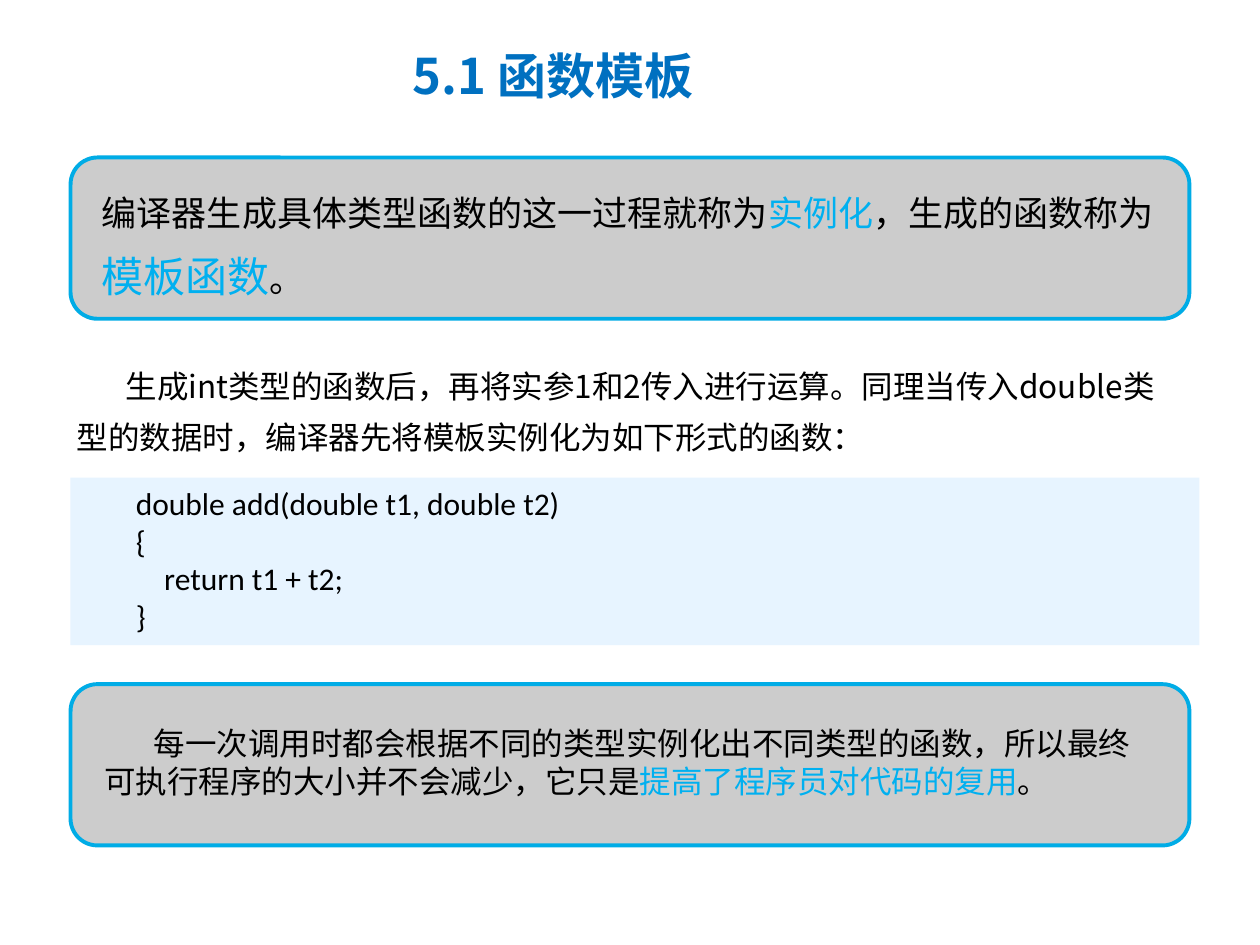
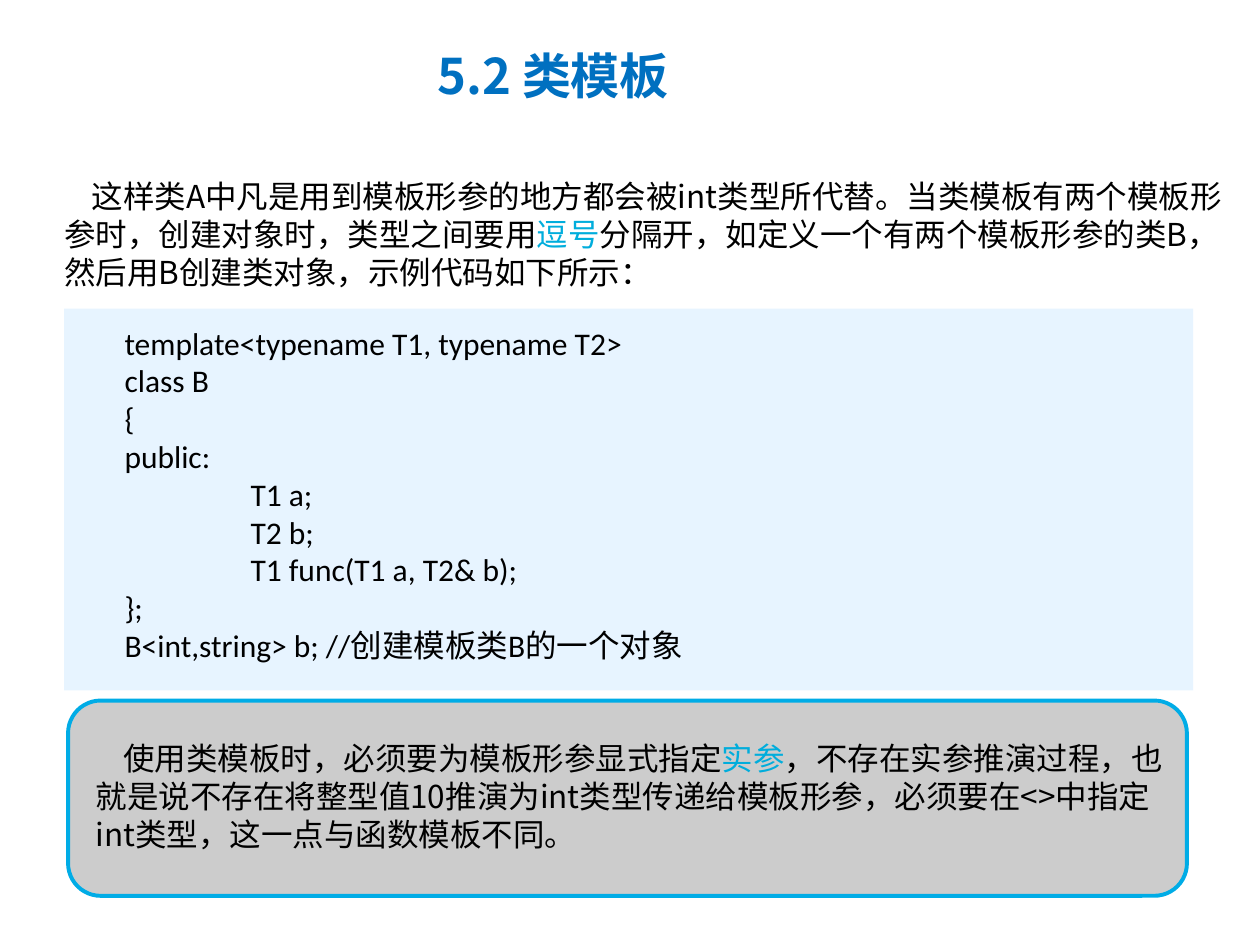
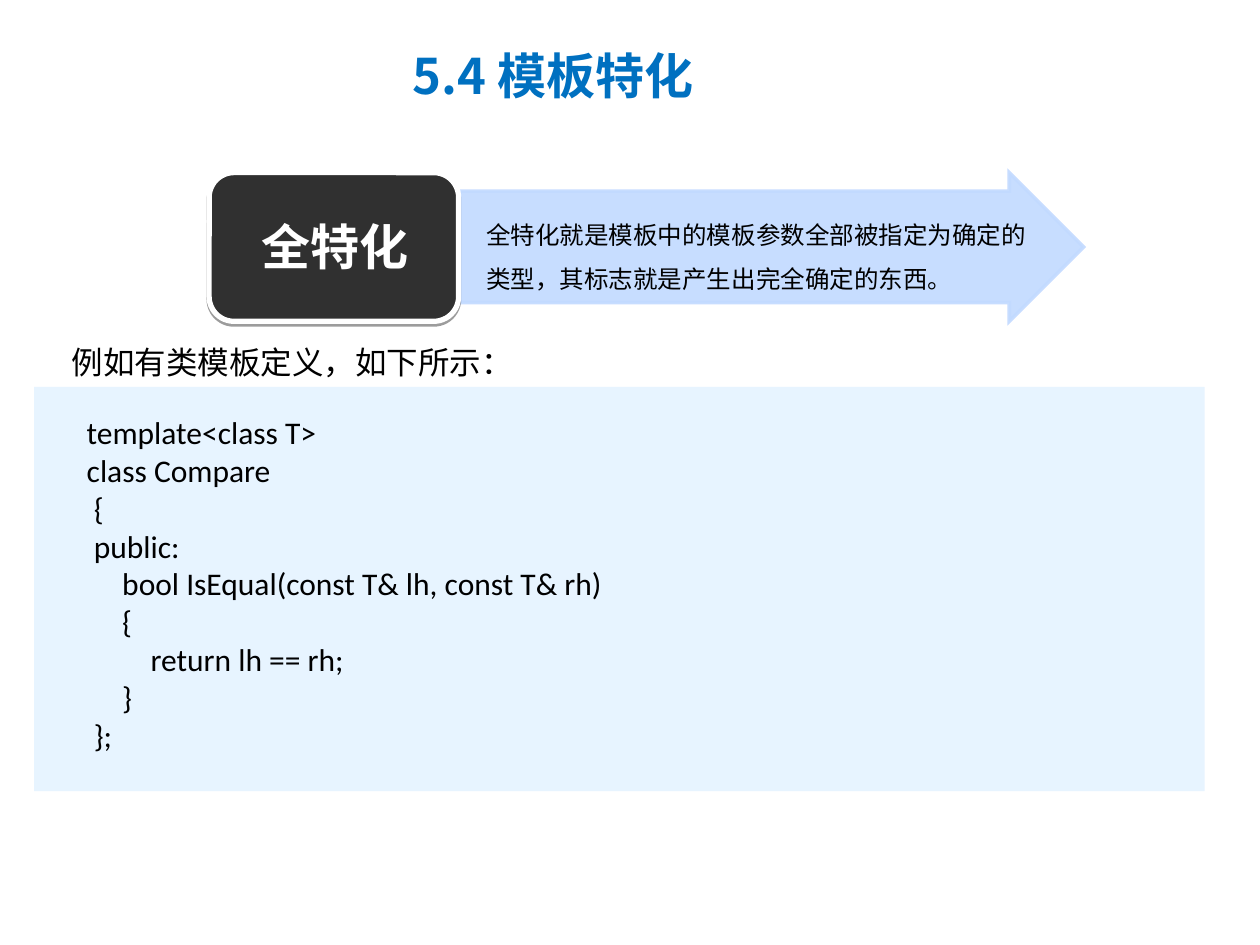
from lxml.etree import SubElement
from pptx import Presentation
from pptx.dml.color import RGBColor
from pptx.enum.shapes import MSO_SHAPE
from pptx.enum.text import MSO_ANCHOR, MSO_AUTO_SIZE, PP_ALIGN
from pptx.oxml.ns import qn
from pptx.util import Inches, Pt

COLORS = {
    "title": "0070C0", "text": "000000", "white": "FFFFFF",
    "accent": "00B0F0", "accent_dark": "00ADDC",
    "callout": "CCCCCC", "border": "00ACE6", "code": "E7F4FF",
    "arrow": "C2DAFF", "badge": "303030",
}
CJK = "Noto Sans CJK SC"
LATIN = "Calibri"
TITLE = {"size": Pt(28), "bold": True}
BODY = {"size": Pt(18), "bold": False}
LEAD = {"size": Pt(20), "bold": False}
LEAD_TERM = {"size": Pt(24), "bold": False}
NOTE = {"size": Pt(14), "bold": False}


def rgb(name):
    return RGBColor.from_string(COLORS[name])


def add_run(p, text, color="text", fmt=BODY, face=CJK):
    r = p.add_run()
    r.text = text
    for name, value in {**fmt, "name": face}.items():
        setattr(r.font, name, value)
    r.font.color.rgb = rgb(color)
    if face == CJK:
        SubElement(r.font._element, qn("a:ea"), typeface=face)


def add_text(slide, box, paragraphs, wrap=True, **para):
    """Each paragraph is a list of add_run argument tuples."""
    tf = slide.shapes.add_textbox(*map(Inches, box)).text_frame
    tf.word_wrap = wrap
    tf.auto_size = MSO_AUTO_SIZE.SHAPE_TO_FIT_TEXT
    for i, runs in enumerate(paragraphs):
        p = tf.paragraphs[0] if i == 0 else tf.add_paragraph()
        for name, value in para.items():
            setattr(p, name, value)
        for run in runs:
            add_run(p, *run)
    return tf


def add_paragraph_text(slide, box, runs, indent=0, **para):
    tf = add_text(slide, box, [runs], **para)
    if indent:
        tf.paragraphs[0]._p.get_or_add_pPr().set("indent", str(Inches(indent)))


def add_panel(slide, kind, box, fill, line=None, width=0):
    sp = slide.shapes.add_shape(kind, *map(Inches, box))
    sp.shadow.inherit = False
    sp.fill.solid()
    sp.fill.fore_color.rgb = rgb(fill)
    if line:
        sp.line.color.rgb = rgb(line)
        sp.line.width = Pt(width)
    else:
        sp.line.fill.background()
    return sp


def add_title(slide, text):
    tf = add_text(slide, (1.81, 0.17, 5.16, 0.85), [[(text, "title", TITLE)]],
                  alignment=PP_ALIGN.CENTER)
    tf.auto_size = MSO_AUTO_SIZE.NONE
    tf.vertical_anchor = MSO_ANCHOR.MIDDLE


def add_callout(slide, box, text_box, runs, **para):
    add_panel(slide, MSO_SHAPE.ROUNDED_RECTANGLE, box, "callout", "border", 2.25)
    add_paragraph_text(slide, text_box, runs, **para)


def add_code(slide, box, text_box, code):
    """Tabs in the code advance to a stop at one inch."""
    add_panel(slide, MSO_SHAPE.RECTANGLE, box, "code")
    lines = [[(line, "text", BODY, LATIN)] for line in code.split("\n")]
    tf = add_text(slide, text_box, lines)
    for p in tf.paragraphs:
        if "\t" in p.text:
            tabs = SubElement(p._p.get_or_add_pPr(), qn("a:tabLst"))
            SubElement(tabs, qn("a:tab"), pos=str(Inches(1)), algn="l")


def add_arrow(slide, box):
    sp = add_panel(slide, MSO_SHAPE.RIGHT_ARROW, box, "arrow", "arrow", 2)
    sp.adjustments[0] = 0.75
    for clr in sp._element.spPr.iter(qn("a:srgbClr")):
        SubElement(clr, qn("a:alpha"), val="90000")
    SubElement(sp._element.spPr.find(qn("a:ln")), qn("a:miter"), lim="800000")


def add_badge(slide, box):
    sp = add_panel(slide, MSO_SHAPE.ROUNDED_RECTANGLE, box, "badge", "white", 3)
    effects = sp._element.spPr.find(qn("a:effectLst"))
    shadow = SubElement(effects, qn("a:outerShdw"), blurRad="0",
                        dist=str(Pt(1.6)), dir="5400000", rotWithShape="0")
    clr = SubElement(shadow, qn("a:srgbClr"), val=COLORS["text"])
    SubElement(clr, qn("a:alpha"), val="38000")


def function_template(slide):
    add_title(slide, "5.1 函数模板")
    add_callout(slide, (0.56, 1.25, 8.88, 1.28), (0.71, 1.35, 8.78, 1.09), [
        ("编译器生成具体类型函数的这一过程就称为", "text", LEAD),
        ("实例化", "accent", LEAD),
        ("，生成的函数称为", "text", LEAD),
        ("模板函数", "accent", LEAD_TERM),
        ("。", "text", LEAD),
    ], line_spacing=1.35)
    add_code(slide, (0.56, 3.79, 8.96, 1.33), (0.98, 3.79, 5, 1.3),
             """double add(double t1, double t2)
{
    return t1 + t2;
}""")
    add_callout(slide, (0.56, 5.43, 8.88, 1.28), (0.73, 5.7, 8.52, 0.7), [
        ("每一次调用时都会根据不同的类型实例化出不同类型的函数，"
         "所以最终可执行程序的大小并不会减少，它只是",),
        ("提高了程序员对代码的复用", "accent"),
        ("。",),
    ], indent=0.39)
    add_paragraph_text(slide, (0.51, 2.76, 8.96, 0.91), [
        ("生成int类型的函数后，再将实参1和2传入进行运算。同理当传入double"
         "类型的数据时，编译器先将模板实例化为如下形式的函数：",),
    ], indent=0.39, line_spacing=1.35)


def class_template(slide):
    add_title(slide, "5.2 类模板")
    add_paragraph_text(slide, (0.41, 1.36, 9.41, 1), [
        ("这样类A中凡是用到模板形参的地方都会被int类型所代替。"
         "当类模板有两个模板形参时，创建对象时，类型之间要用",),
        ("逗号", "accent_dark"),
        ("分隔开，如定义一个有两个模板形参的类B，然后用B创建类对象，"
         "示例代码如下所示：",),
    ], indent=0.22)
    add_code(slide, (0.51, 2.45, 8.96, 3.03), (0.89, 2.52, 5, 2.8),
             """template<typename T1, typename T2>
class B
{
public:
\tT1 a;
\tT2 b;
\tT1 func(T1 a, T2& b);
};
B<int,string> b; //创建模板类B的一个对象""")
    add_callout(slide, (0.54, 5.56, 8.88, 1.55), (0.66, 5.82, 8.72, 1), [
        ("使用类模板时，必须要为模板形参显式指定",),
        ("实参", "accent_dark"),
        ("，不存在实参推演过程，也就是说不存在将整型值10推演为int类型传递给"
         "模板形参，必须要在<>中指定int类型，这一点与函数模板不同。",),
    ], indent=0.22)


def template_specialization(slide):
    add_title(slide, "5.4 模板特化")
    add_arrow(slide, (3.65, 1.37, 4.95, 1.18))
    add_badge(slide, (1.66, 1.37, 1.98, 1.18))
    add_text(slide, (1.98, 1.67, 1.45, 0.57), [[("全特化", "white", TITLE)]])
    add_paragraph_text(slide, (3.76, 1.58, 4.54, 0.8), [
        ("全特化就是模板中的模板参数全部被指定为确定的类型，"
         "其标志就是产生出完全确定的东西。", "text", NOTE),
    ], line_spacing=1.5)
    add_code(slide, (0.27, 3.07, 9.29, 3.21), (0.59, 3.23, 5, 2.8),
             """template<class T>
class Compare
 {
 public:
     bool IsEqual(const T& lh, const T& rh)
     {
         return lh == rh;
     }
 };""")
    add_text(slide, (0.47, 2.67, 3.7, 0.4),
             [[("例如有类模板定义，如下所示：", "text", BODY, LATIN)]], wrap=False)


def main():
    prs = Presentation()
    prs.slide_width, prs.slide_height = Inches(10), Inches(7.5)
    for build in (function_template, class_template, template_specialization):
        build(prs.slides.add_slide(prs.slide_layouts[6]))
    prs.save("out.pptx")


if __name__ == "__main__":
    main()
